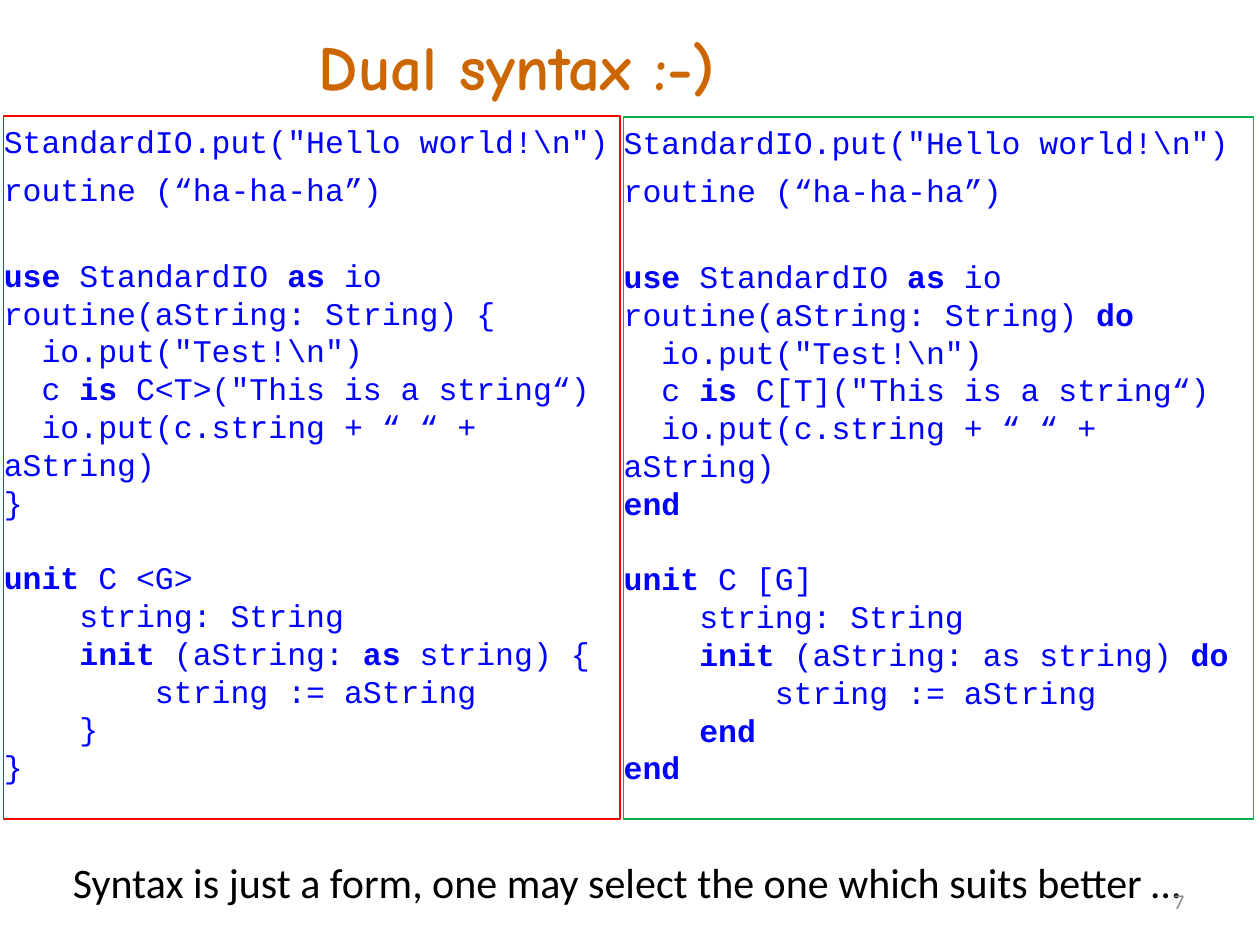
from pptx import Presentation
from pptx.dml.color import RGBColor
from pptx.enum.shapes import MSO_SHAPE as Shape
from pptx.enum.text import MSO_ANCHOR as Anchor, PP_ALIGN as Align
from pptx.util import Inches, Pt


def color(code):
    return RGBColor.from_string(code)


def listing(start, stop, left, right, cast):
    """Code blocks as (space before, text); *stars* enclose keywords."""
    return [
        (0, 'StandardIO.put("Hello world!\\n")'),
        (5.8, "routine (“ha-ha-ha”)"),
        (27.4, f"""*use* StandardIO *as* io
routine(aString: String) {start}
  io.put("Test!\\n")
  c *is* C{left}T{right}("This is a string“)
  io.put(c.string + “ “ + aString)
{stop}"""),
        (21.6, f"""*unit* C {left}G{right}
    string: String
    *init* (aString: {cast} string) {start}
        string := aString
    {stop}
{stop}"""),
    ]


class Deck:
    styles = {
        "title": {"name": "Comic Neue", "size": Pt(36), "bold": True, "color": "CC6600"},
        "code": {"name": "Courier New", "size": Pt(18), "color": "0000FF"},
        "note": {"name": "Calibri", "size": Pt(24), "color": "000000"},
        "page": {"name": "Calibri", "size": Pt(12), "color": "8C8C8C"},
    }

    def __init__(self):
        self.file = Presentation()
        self.file.slide_width, self.file.slide_height = Inches(10), Inches(7.5)
        self.slide = self.file.slides.add_slide(self.file.slide_layouts[5])

    def style(self, font, kind):
        for key, value in self.styles[kind].items():
            if key == "color":
                font.color.rgb = color(value)
            else:
                setattr(font, key, value)

    def fill(self, frame, text, kind, align=Align.LEFT, anchor=Anchor.TOP):
        frame.word_wrap = True
        frame.vertical_anchor = anchor
        para = frame.paragraphs[0]
        para.alignment = align
        run = para.add_run()
        run.text = text
        self.style(run.font, kind)

    def title(self, text, *box):
        shape = self.slide.shapes.title
        shape.left, shape.top, shape.width, shape.height = map(Inches, box)
        self.fill(shape.text_frame, text, "title")

    def label(self, text, kind, *box, **place):
        shape = self.slide.shapes.add_textbox(*map(Inches, box))
        self.fill(shape.text_frame, text, kind, **place)

    def panel(self, blocks, edge, *box):
        shape = self.slide.shapes.add_shape(Shape.RECTANGLE, *map(Inches, box))
        shape.shadow.inherit = False
        shape.fill.background()
        shape.line.color.rgb = color(edge)
        shape.line.width = Pt(0.75)
        frame = shape.text_frame
        frame.word_wrap = True
        frame.vertical_anchor = Anchor.TOP
        frame.margin_left = frame.margin_right = 0
        for count, (space, text) in enumerate(blocks):
            para = frame.add_paragraph() if count else frame.paragraphs[0]
            para.alignment = Align.LEFT
            para.space_before = Pt(space)
            self.code(para, text)

    def code(self, para, text):
        self.style(para.font, "code")
        for row, line in enumerate(text.split("\n")):
            if row:
                para.add_line_break()
            for part, words in enumerate(line.split("*")):
                if words:
                    run = para.add_run()
                    run.text = words
                    self.style(run.font, "code")
                    run.font.bold = part % 2 == 1


def main():
    deck = Deck()
    deck.title("Dual syntax :-)", 2.43, 0.17, 5.74, 0.7)

    # The same program in both notations
    deck.panel(listing("{", "}", "<", ">", "*as*"), "FF0000", 0.03, 0.92, 4.89, 5.58)
    deck.panel(listing("*do*", "*end*", "[", "]", "as"), "00B050", 4.95, 0.93, 5, 5.57)

    # Closing remark and page number
    deck.label("Syntax is just a form, one may select the one which suits better …",
               "note", 0.48, 6.75, 9, 0.5)
    deck.label("7", "page", 8.92, 6.95, 0.58, 0.4, align=Align.RIGHT, anchor=Anchor.MIDDLE)

    deck.file.save("out.pptx")


if __name__ == "__main__":
    main()
